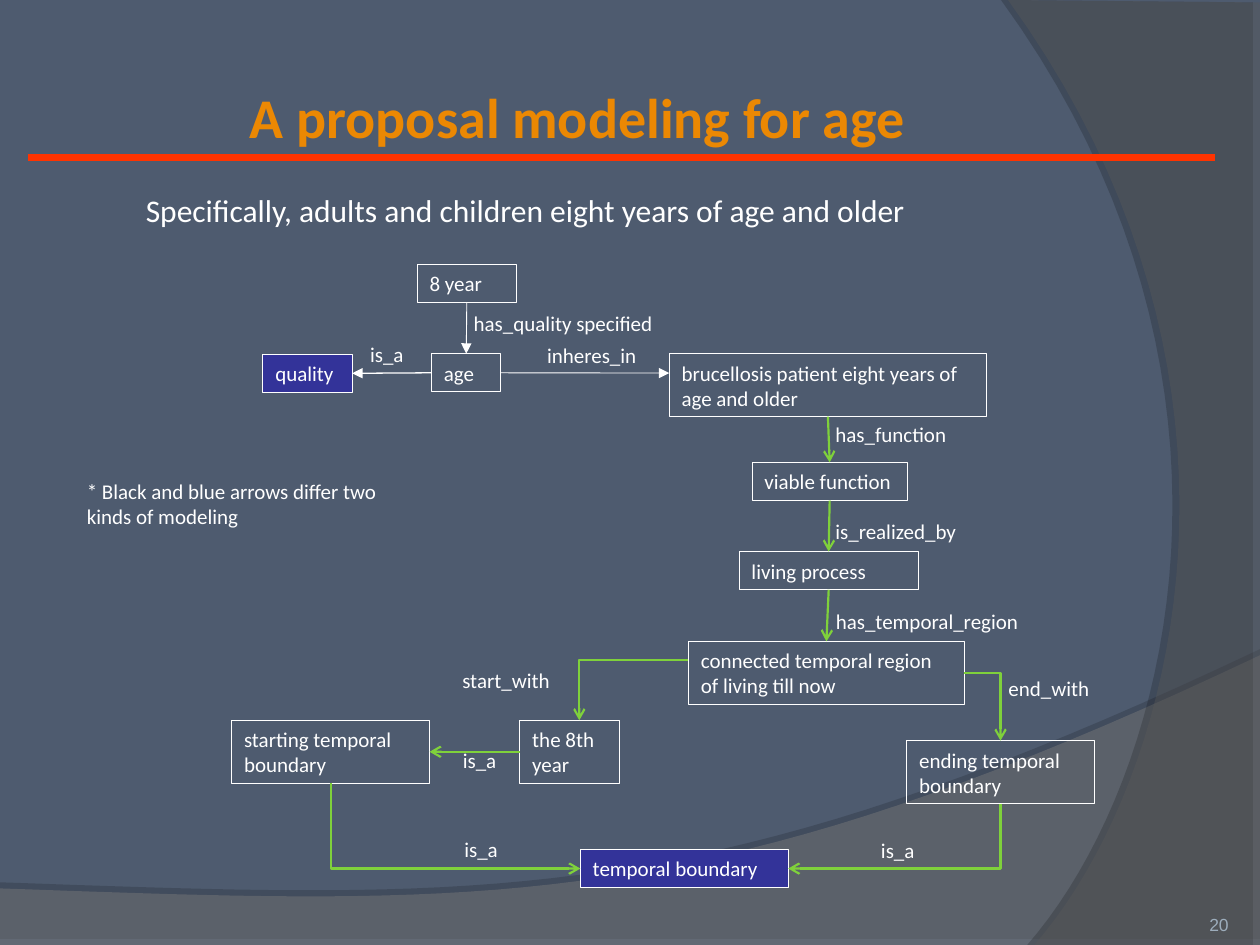
from lxml.etree import SubElement
from pptx import Presentation
from pptx.dml.color import RGBColor
from pptx.enum.shapes import MSO_CONNECTOR as LINK, MSO_SHAPE as SHAPE
from pptx.enum.text import MSO_ANCHOR as ANCHOR, MSO_AUTO_SIZE as FIT, PP_ALIGN as ALIGN
from pptx.oxml.ns import qn
from pptx.util import Cm, Pt

WHITE, GREEN, INDIGO = "FFFFFF", "7FD13B", "333399"
ROW, TWO_ROWS = 0.77, 1.27  # heights of one-line and two-line boxes
TOP, LEFT, BOTTOM, RIGHT = range(4)

# name: left, top, width, height, text, fill
CONCEPTS = {
    "eight": (8.41, 5.33, 2, ROW, "8 year", None),
    "age": (8.7, 7.13, 1.4, ROW, "age", None),
    "quality": (5.3, 7.14, 1.8, ROW, "quality", INDIGO),
    "patient": (13.49, 7.13, 6.4, TWO_ROWS,
                "brucellosis patient eight years of age and older", None),
    "function": (15.16, 9.32, 3.13, ROW, "viable function", None),
    "process": (14.9, 11.12, 3.61, ROW, "living process", None),
    "region": (13.88, 12.93, 5.56, TWO_ROWS,
               "connected temporal region of living till now", None),
    "start": (4.67, 14.52, 3.99, TWO_ROWS, "starting temporal boundary", None),
    "year": (10.48, 14.52, 2, TWO_ROWS, "the 8th year", None),
    "end": (18.28, 14.93, 3.79, TWO_ROWS, "ending temporal boundary", None),
    "boundary": (11.7, 17.12, 4.19, ROW, "temporal boundary", INDIGO),
}
# from concept, side, to concept, side, colour, width, arrowhead
RELATIONS = [
    ("eight", BOTTOM, "age", TOP, WHITE, 0.5, "triangle"),
    ("age", LEFT, "quality", RIGHT, WHITE, 0.75, "triangle"),
    ("patient", BOTTOM, "function", TOP, GREEN, 1.25, "arrow"),
    ("function", BOTTOM, "process", TOP, GREEN, 1.25, "arrow"),
    ("process", BOTTOM, "region", TOP, GREEN, 1.25, "arrow"),
    ("year", LEFT, "start", RIGHT, GREEN, 1.25, "arrow"),
]
# start x, y, end x, y, whether the first leg is vertical
BENT_RELATIONS = [
    (13.88, 13.31, 11.68, 14.52, False),
    (19.44, 13.56, 20.17, 14.93, False),
    (20.17, 16.2, 15.89, 17.51, True),
    (6.67, 15.79, 11.7, 17.51, True),
]
# left, top, width, text
RELATION_LABELS = [
    (9.3, 6.13, 4.11, "has_quality specified"),
    (7.21, 6.76, 1.27, "is_a"),
    (10.78, 6.78, 2.46, "inheres_in"),
    (16.59, 8.36, 2.74, "has_function"),
    (16.59, 10.32, 3.05, "is_realized_by"),
    (16.6, 12.13, 4.29, "has_temporal_region"),
    (9.07, 13.33, 2.36, "start_with"),
    (20.08, 13.49, 2.24, "end_with"),
    (9.08, 14.93, 1.27, "is_a"),
    (9.11, 16.74, 1.27, "is_a"),
    (17.51, 16.76, 1.27, "is_a"),
]


def color(hex_value):
    return RGBColor.from_string(hex_value)


def set_all(target, values):
    for name, value in values.items():
        setattr(target, name, value)


def write(holder, text, size=12, ink=WHITE, bold=False, font="Calibri",
          align=ALIGN.LEFT, inset=(0.25, 0.13), **frame_format):
    across, down = map(Cm, inset)
    frame = holder.text_frame
    set_all(frame, {"word_wrap": True, "auto_size": FIT.SHAPE_TO_FIT_TEXT,
                    "vertical_anchor": ANCHOR.TOP,
                    "margin_left": across, "margin_right": across,
                    "margin_top": down, "margin_bottom": down, **frame_format})
    paragraph = frame.paragraphs[0]
    paragraph.alignment = align
    run = paragraph.add_run()
    run.text = text
    set_all(run.font, {"size": Pt(size), "name": font, "bold": bold})
    run.font.color.rgb = color(ink)


def add_label(slide, left, top, width, height, text, **text_format):
    label = slide.shapes.add_textbox(*map(Cm, (left, top, width, height)))
    write(label, text, **text_format)


def add_concept(slide, left, top, width, height, text, fill):
    concept = slide.shapes.add_shape(
        SHAPE.RECTANGLE, *map(Cm, (left, top, width, height)))
    concept.shadow.inherit = False
    if fill:
        concept.fill.solid()
        concept.fill.fore_color.rgb = color(fill)
    else:
        concept.fill.background()
    concept.line.color.rgb = color(WHITE)
    concept.line.width = Pt(0.5)
    write(concept, text)
    return concept


def add_line(slide, points, ink, width, head=None, kind=LINK.STRAIGHT):
    line = slide.shapes.add_connector(kind, *map(Cm, points))
    line.line.color.rgb = color(ink)
    line.line.width = Pt(width)
    properties = line._element.spPr
    if head:
        SubElement(properties.find(qn("a:ln")), qn("a:tailEnd"), type=head)
    SubElement(properties, qn("a:effectLst"))
    return line


def add_bent_arrow(slide, x1, y1, x2, y2, vertical_first):
    points, turn = (x1, y1, x2, y2), 0
    if vertical_first:
        # A turned elbow swaps width and height around the same centre
        mid_x, mid_y = (x1 + x2) / 2, (y1 + y2) / 2
        half_x, half_y = (y2 - y1) / 2, abs(x2 - x1) / 2
        turn = 90
        if x2 > x1:
            turn, half_x = 270, -half_x
        points = (mid_x - half_x, mid_y - half_y, mid_x + half_x, mid_y + half_y)
    arrow = add_line(slide, points, GREEN, 1.25, "arrow", LINK.ELBOW)
    properties = arrow._element.spPr
    properties.find(qn("a:prstGeom")).set("prst", "bentConnector2")
    properties.find(qn("a:xfrm")).set("rot", str(turn * 60000))


def curve(p0, p1, p2, p3, steps=40):
    """Points along a cubic Bezier curve, its start left out."""
    for step in range(1, steps + 1):
        t = step / steps
        weights = ((1 - t) ** 3, 3 * t * (1 - t) ** 2, 3 * t * t * (1 - t), t ** 3)
        yield tuple(sum(w * p[axis] for w, p in zip(weights, (p0, p1, p2, p3)))
                    for axis in (0, 1))


def add_swoosh(slide, corners, bend, fill, opacity, shade, distance, direction):
    outline = [*corners, *curve(corners[-1], *bend)]
    start, *rest = [(Cm(x), Cm(y)) for x, y in outline]
    builder = slide.shapes.build_freeform(*start)
    builder.add_line_segments(rest, close=True)
    swoosh = builder.convert_to_shape()
    swoosh.shadow.inherit = False
    swoosh.fill.solid()
    swoosh.fill.fore_color.rgb = color(fill)
    swoosh.line.fill.background()
    properties = swoosh._element.spPr
    SubElement(properties.find(".//" + qn("a:srgbClr")), qn("a:alpha"),
               val=str(opacity * 1000))
    shadow = SubElement(properties.find(qn("a:effectLst")), qn("a:outerShdw"),
                        blurRad="0", dist=str(Pt(distance)),
                        dir=str(direction * 60000), rotWithShape="0")
    tint = SubElement(shadow, qn("a:srgbClr"), val="000000")
    SubElement(tint, qn("a:alpha"), val=str(shade * 1000))


def main():
    deck = Presentation()
    set_all(deck, {"slide_width": Cm(25.4), "slide_height": Cm(19.05)})
    slide = deck.slides.add_slide(deck.slide_layouts[6])

    # Background
    slide.background.fill.solid()
    slide.background.fill.fore_color.rgb = color("4E5B6F")
    add_swoosh(slide, [(0, 17.91), (0, 19.05), (25.4, 19.05), (25.4, 13.21)],
               [(14.2, 18.52), (9.93, 18.26), (0, 17.91)],
               "7C7C7C", 45, 35, 3.5, 270)
    add_swoosh(slide, [(25.4, 0.05), (25.4, 19.05), (20.85, 19.05)],
               [(23.75, 15.72), (25.86, 7.62), (20.32, 0)],
               "595959", 40, 45, 4, 180)

    # Title, rule, subtitle, note and page number
    add_label(slide, 1.27, 0.76, 20.75, 3.18, "A proposal modeling for age",
              size=32, ink="EB8803", bold=True, align=ALIGN.CENTER,
              inset=(0.13, 0.13), vertical_anchor=ANCHOR.MIDDLE, auto_size=FIT.NONE)
    add_line(slide, (0.56, 3.18, 24.49, 3.18), "FF3300", 4)
    add_label(slide, 2.69, 3.73, 18.39, 1.02,
              "Specifically, adults and children eight years of age and older", size=18)
    add_label(slide, 1.5, 9.52, 6.4, TWO_ROWS,
              "* Black and blue arrows differ two kinds of modeling")
    add_label(slide, 22.66, 17.83, 2.11, 1.02, "20", size=10, ink="9DADBC",
              font="Arial", align=ALIGN.RIGHT, inset=(0, 0),
              vertical_anchor=ANCHOR.BOTTOM, auto_size=FIT.NONE)

    # Concepts and the relations between them
    concepts = {name: add_concept(slide, *row) for name, row in CONCEPTS.items()}
    for source, source_side, target, target_side, *style in RELATIONS:
        arrow = add_line(slide, (0, 0, 0, 0), *style)
        arrow.begin_connect(concepts[source], source_side)
        arrow.end_connect(concepts[target], target_side)
    # Level arrow that meets the taller patient box above its middle
    inherence = add_line(slide, (10.1, 7.52, 13.49, 7.52), WHITE, 0.5, "triangle")
    inherence.begin_connect(concepts["age"], RIGHT)
    for route in BENT_RELATIONS:
        add_bent_arrow(slide, *route)
    for left, top, width, text in RELATION_LABELS:
        add_label(slide, left, top, width, ROW, text, word_wrap=False)

    deck.save("out.pptx")


if __name__ == "__main__":
    main()
